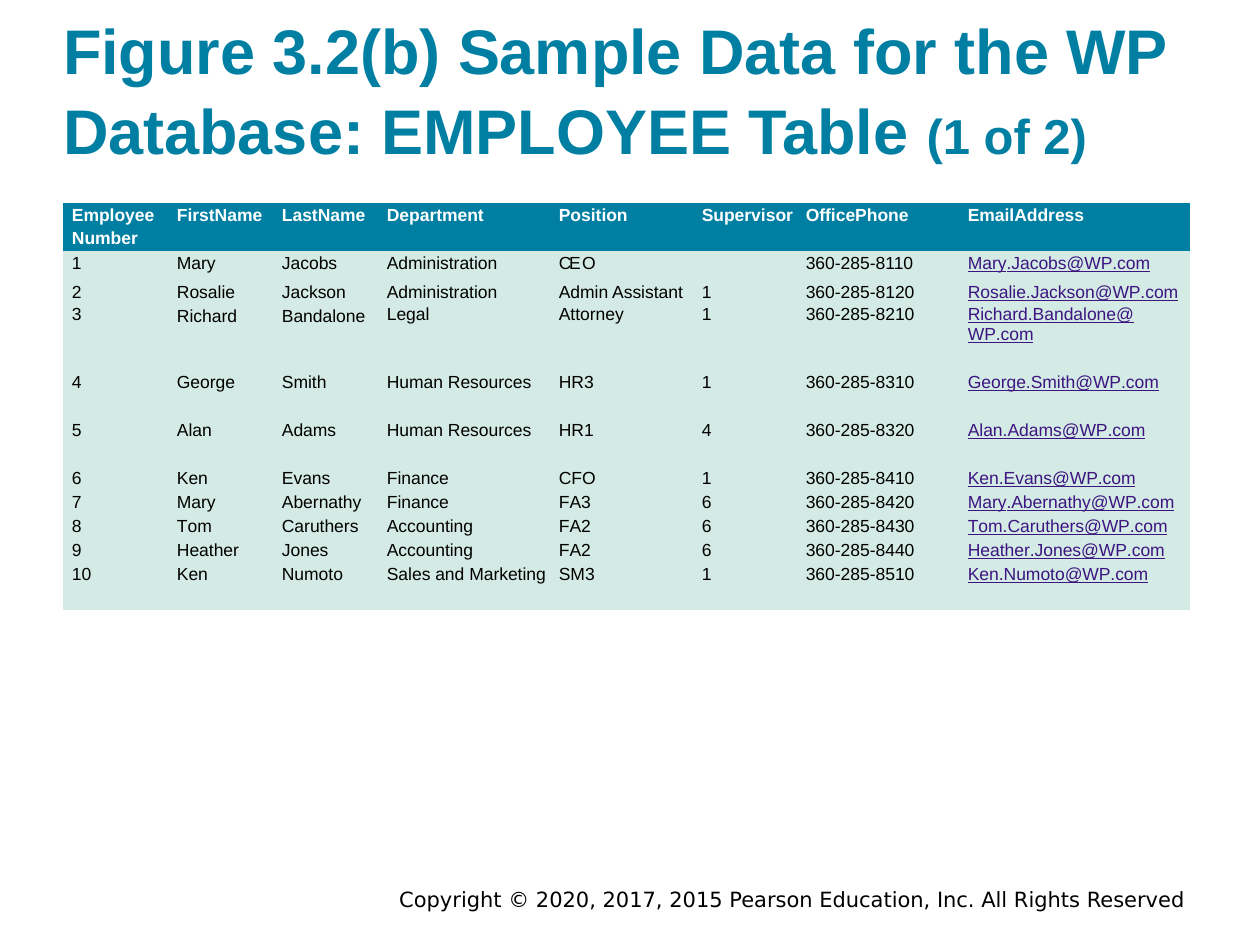
"""Build the EMPLOYEE sample data slide with its title, table and copyright line."""
from itertools import groupby
from lxml.etree import SubElement
from pptx import Presentation
from pptx.dml.color import RGBColor as RGB
from pptx.enum.text import MSO_ANCHOR as ANCHOR, PP_ALIGN as ALIGN
from pptx.oxml.ns import qn
from pptx.util import Pt

PX = 914400 / 126
COLORS = {"teal": "007FA3", "mint": "D4EAE4", "white": "FFFFFF", "black": "000000", "link": "3C1581"}
TITLE = [("Figure 3.2(b) Sample Data for the WP Database: EMPLOYEE Table ", 36), ("(1 of 2)", 28)]
COPYRIGHT = "Copyright © 2020, 2017, 2015 Pearson Education, Inc. All Rights Reserved"
EMPLOYEES = [
    ("Employee Number", "FirstName", "LastName", "Department", "Position", "Supervisor", "OfficePhone", "EmailAddress"),
    ("1", "Mary", "Jacobs", "Administration", "C E O", "", "360-285-8110", "Mary.Jacobs@WP.com"),
    ("2", "Rosalie", "Jackson", "Administration", "Admin Assistant", "1", "360-285-8120", "Rosalie.Jackson@WP.com"),
    ("3", "Richard", "Bandalone", "Legal", "Attorney", "1", "360-285-8210", "Richard.Bandalone@ WP.com"),
    ("4", "George", "Smith", "Human Resources", "HR3", "1", "360-285-8310", "George.Smith@WP.com"),
    ("5", "Alan", "Adams", "Human Resources", "HR1", "4", "360-285-8320", "Alan.Adams@WP.com"),
    ("6", "Ken", "Evans", "Finance", "CFO", "1", "360-285-8410", "Ken.Evans@WP.com"),
    ("7", "Mary", "Abernathy", "Finance", "FA3", "6", "360-285-8420", "Mary.Abernathy@WP.com"),
    ("8", "Tom", "Caruthers", "Accounting", "FA2", "6", "360-285-8430", "Tom.Caruthers@WP.com"),
    ("9", "Heather", "Jones", "Accounting", "FA2", "6", "360-285-8440", "Heather.Jones@WP.com"),
    ("10", "Ken", "Numoto", "Sales and Marketing", "SM3", "1", "360-285-8510", "Ken.Numoto@WP.com"),
]
COL_WIDTHS = [105, 105, 105, 172, 143, 108, 158, 231]
ROW_HEIGHTS = [48, 29, 24, 66, 48, 48, 24, 24, 24, 24, 48]
PHONE, EMAIL, TIGHT_ROW = 6, 7, 3
KERN = {"P.": -130, "y.": -90, "r.": -80, "To": -90, "FA": -60,
        "C ": -200, " E": -200, "E ": -200, " O": -200}


def px(n):
    return round(n * PX)


def place(sp, left, top, width, height):
    sp.left, sp.top, sp.width, sp.height = map(px, (left, top, width, height))


def add_text(p, text, size=10, font="Arial", color="black", bold=False, underline=False, spacing=0):
    r = p.add_run()
    r.text = text
    f = r.font
    f.size, f.name, f.bold, f.underline = Pt(size), font, bold, underline
    f.color.rgb = RGB.from_string(COLORS[color])
    if spacing:
        r._r.get_or_add_rPr().set("spc", str(spacing))


def add_kerned(p, text, **fmt):
    pairs = [(c, KERN.get(text[i:i + 2], 0)) for i, c in enumerate(text)]
    for spacing, group in groupby(pairs, key=lambda pair: pair[1]):
        add_text(p, "".join(c for c, _ in group), spacing=spacing, **fmt)


def fill_cell(cell, text, row, col):
    header, edge = row == 0, col in (0, EMAIL)
    cell.fill.solid()
    cell.fill.fore_color.rgb = RGB.from_string(COLORS["teal" if header else "mint"])
    cell.margin_left = px(5 if col == PHONE else 9)
    cell.margin_right = px(9 if edge else 0)
    cell.margin_top = cell.margin_bottom = 0
    p = cell.text_frame.paragraphs[0]
    p.line_spacing = 1.04 if row == TIGHT_ROW and col not in (1, 2) else 1.15
    if not text:
        SubElement(p._p, qn("a:endParaRPr"), sz="1000")
    link = col == EMAIL and not header
    color = "white" if header else "link" if link else "black"
    add_kerned(p, text, color=color, bold=header, underline=link)


def main():
    prs = Presentation()
    prs.slide_width, prs.slide_height = px(1260), px(945)
    s = prs.slides.add_slide(prs.slide_layouts[5])

    title = s.shapes.title
    place(title, 63, 8, 1124, 159)
    tf = title.text_frame
    tf.word_wrap, tf.vertical_anchor = True, ANCHOR.MIDDLE
    tf.margin_left = tf.margin_right = tf.margin_top = tf.margin_bottom = 0
    p = tf.paragraphs[0]
    p.alignment, p.line_spacing = ALIGN.LEFT, 1.05
    for text, size in TITLE:
        add_text(p, text, size=size, color="teal", bold=True)

    frame = s.shapes.add_table(len(EMPLOYEES), len(COL_WIDTHS), px(63), px(203),
                               px(sum(COL_WIDTHS)), px(sum(ROW_HEIGHTS)))
    table = frame.table
    for column, width in zip(table.columns, COL_WIDTHS):
        column.width = px(width)
    for i, (height, values) in enumerate(zip(ROW_HEIGHTS, EMPLOYEES)):
        table.rows[i].height = px(height)
        for j, text in enumerate(values):
            fill_cell(table.cell(i, j), text, i, j)
    borders = ("a:lnL", "a:lnR", "a:lnT", "a:lnB")
    for cell in table.iter_cells():
        tc_pr = cell._tc.get_or_add_tcPr()
        for k, tag in enumerate(borders):
            line = SubElement(tc_pr, qn(tag), w="0")
            SubElement(line, qn("a:noFill"))
            tc_pr.insert(k, line)

    sp = s.shapes.add_textbox(0, 0, 0, 0)
    place(sp, 212, 880, 986, 38)
    tf = sp.text_frame
    tf.word_wrap = True
    p = tf.paragraphs[0]
    p.alignment = ALIGN.RIGHT
    add_text(p, COPYRIGHT, size=12, font="DejaVu Sans")

    prs.save("out.pptx")


if __name__ == "__main__":
    main()
